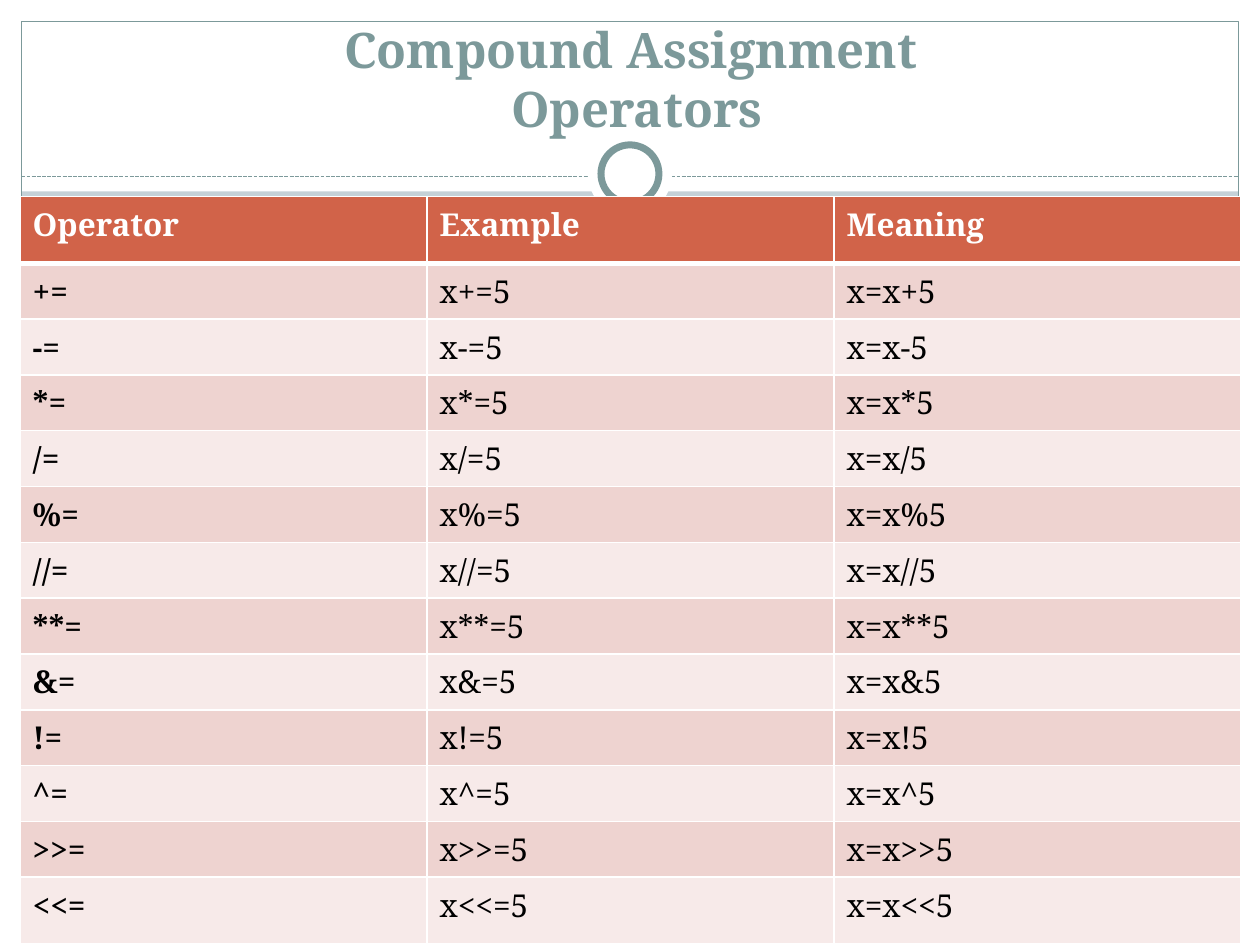
from lxml.etree import SubElement
from pptx import Presentation
from pptx.dml.color import RGBColor
from pptx.enum.dml import MSO_LINE_DASH_STYLE as Dash
from pptx.enum.shapes import MSO_CONNECTOR as Connector, MSO_SHAPE as Shape
from pptx.enum.text import MSO_ANCHOR as Anchor, PP_ALIGN as Align
from pptx.oxml.ns import qn
from pptx.util import Inches, Pt

COLORS = {
    "background": "C5D1D7", "white": "FFFFFF", "footer": "8CADAE",
    "accent": "7C999A", "header": "D16349", "odd": "EED3D0",
    "even": "F7EAE9", "text": "000000",
}
FONT = "Noto Serif"
COLUMNS, ROWS = 100, 75
MARGIN = 1.7
HEADINGS = ["Operator", "Example", "Meaning"]
SYMBOLS = ["+", "-", "*", "/", "%", "//", "**", "&", "!", "^", ">>", "<<"]
EDGE_ROW, INNER_ROW = 5.3, 4.43
TABLE_LEFT, TABLE_TOP, TABLE_COLUMN = 1.6, 15.6, 32.3


def grid(*units):
    """Turn grid units (100 columns by 75 rows) into slide lengths."""
    return [Inches(10 * unit / COLUMNS) for unit in units]


def rgb(name):
    """Look up a named colour."""
    return RGBColor.from_string(COLORS[name])


def format_font(font, size, color, bold):
    """Apply the slide's font with the given values."""
    values = {"name": FONT, "size": Pt(size), "bold": bold}
    for attribute, value in values.items():
        setattr(font, attribute, value)
    font.color.rgb = rgb(color)


def add_panel(slide, kind, box, fill=None, line=None, width=0.75):
    """Add a preset shape with an optional fill and outline."""
    shape = slide.shapes.add_shape(kind, *grid(*box))
    shape.shadow.inherit = False
    if fill:
        shape.fill.solid()
        shape.fill.fore_color.rgb = rgb(fill)
    else:
        shape.fill.background()
    if line:
        shape.line.color.rgb = rgb(line)
        shape.line.width = Pt(width)
    else:
        shape.line.fill.background()


def add_divider(slide, row):
    """Add the dashed rule across the frame."""
    ends = grid(MARGIN, row, COLUMNS - MARGIN, row)
    divider = slide.shapes.add_connector(Connector.STRAIGHT, *ends)
    values = {"width": Pt(0.75), "dash_style": Dash.SQUARE_DOT}
    for attribute, value in values.items():
        setattr(divider.line, attribute, value)
    divider.line.color.rgb = rgb("accent")
    SubElement(divider._element.spPr, qn("a:effectLst"))


def add_ring(slide, row):
    """Add the white disc and the ring centred on the slide."""
    discs = [(6.7, None), (4.6, "accent")]
    for size, line in discs:
        box = ((COLUMNS - size) / 2, row - size / 2, size, size)
        add_panel(slide, Shape.OVAL, box, "white", line, 4)


def add_frame(slide):
    """Add the white margins, footer band and outline."""
    bands = [
        ((0, ROWS - MARGIN, COLUMNS, MARGIN), "white"),
        ((0, 0, COLUMNS, 15.2), "white"),
        ((0, 0, MARGIN, ROWS), "white"),
        ((COLUMNS - MARGIN, 0, MARGIN, ROWS), "white"),
        ((MARGIN, 69.9, COLUMNS - 2 * MARGIN, 3.4), "footer"),
    ]
    for box, fill in bands:
        add_panel(slide, Shape.RECTANGLE, box, fill)
    outline = (MARGIN, MARGIN, COLUMNS - 2 * MARGIN, ROWS - 2 * MARGIN)
    add_panel(slide, Shape.RECTANGLE, outline, line="accent")


def add_title(slide, text, box):
    """Add the centred heading."""
    frame = slide.shapes.add_textbox(*grid(*box)).text_frame
    values = {"word_wrap": True, "vertical_anchor": Anchor.BOTTOM}
    for attribute, value in values.items():
        setattr(frame, attribute, value)
    paragraph = frame.paragraphs[0]
    paragraph.text = text
    paragraph.alignment = Align.CENTER
    for run in paragraph.runs:
        format_font(run.font, 28, "accent", True)


def set_borders(cell, widths):
    """Draw white cell borders; widths maps a side to points."""
    properties = cell._tc.get_or_add_tcPr()
    for position, (side, width) in enumerate(widths.items()):
        line = properties.makeelement(qn(f"a:ln{side}"), {"w": str(Pt(width))})
        fill = SubElement(line, qn("a:solidFill"))
        SubElement(fill, qn("a:srgbClr"), val=COLORS["white"])
        properties.insert(position, line)


def add_operator_table(slide):
    """Add the table, deriving each row from its operator symbol."""
    records = [HEADINGS]
    records += [[f"{s}=", f"x{s}=5", f"x=x{s}5"] for s in SYMBOLS]
    last = len(records) - 1
    heights = [EDGE_ROW if i in (0, last) else INNER_ROW
               for i in range(len(records))]
    box = (TABLE_LEFT, TABLE_TOP, TABLE_COLUMN * len(HEADINGS), sum(heights))
    table = slide.shapes.add_table(
        len(records), len(HEADINGS), *grid(*box)).table
    for column in table.columns:
        column.width = grid(TABLE_COLUMN)[0]
    for i, (record, height) in enumerate(zip(records, heights)):
        table.rows[i].height = grid(height)[0]
        fill = "header" if i == 0 else "odd" if i % 2 else "even"
        widths = {"L": 1, "R": 1, "T": 3 if i == 1 else 1,
                  "B": 3 if i == 0 else 1}
        for j, text in enumerate(record):
            cell = table.cell(i, j)
            cell.text = text
            cell.fill.solid()
            cell.fill.fore_color.rgb = rgb(fill)
            set_borders(cell, widths)
            font = cell.text_frame.paragraphs[0].runs[0].font
            format_font(font, 18, "text" if i else "white", i == 0 or j == 0)


def main():
    """Build and save the slide."""
    presentation = Presentation()
    presentation.slide_width, presentation.slide_height = grid(COLUMNS, ROWS)
    slide = presentation.slides.add_slide(presentation.slide_layouts[6])
    slide.background.fill.solid()
    slide.background.fill.fore_color.rgb = rgb("background")
    add_frame(slide)
    add_divider(slide, 14)
    add_ring(slide, 13.8)
    add_title(slide, "Compound Assignment \vOperators", (3.9, 3.1, 93.3, 8.3))
    add_operator_table(slide)
    presentation.save("out.pptx")


main()
